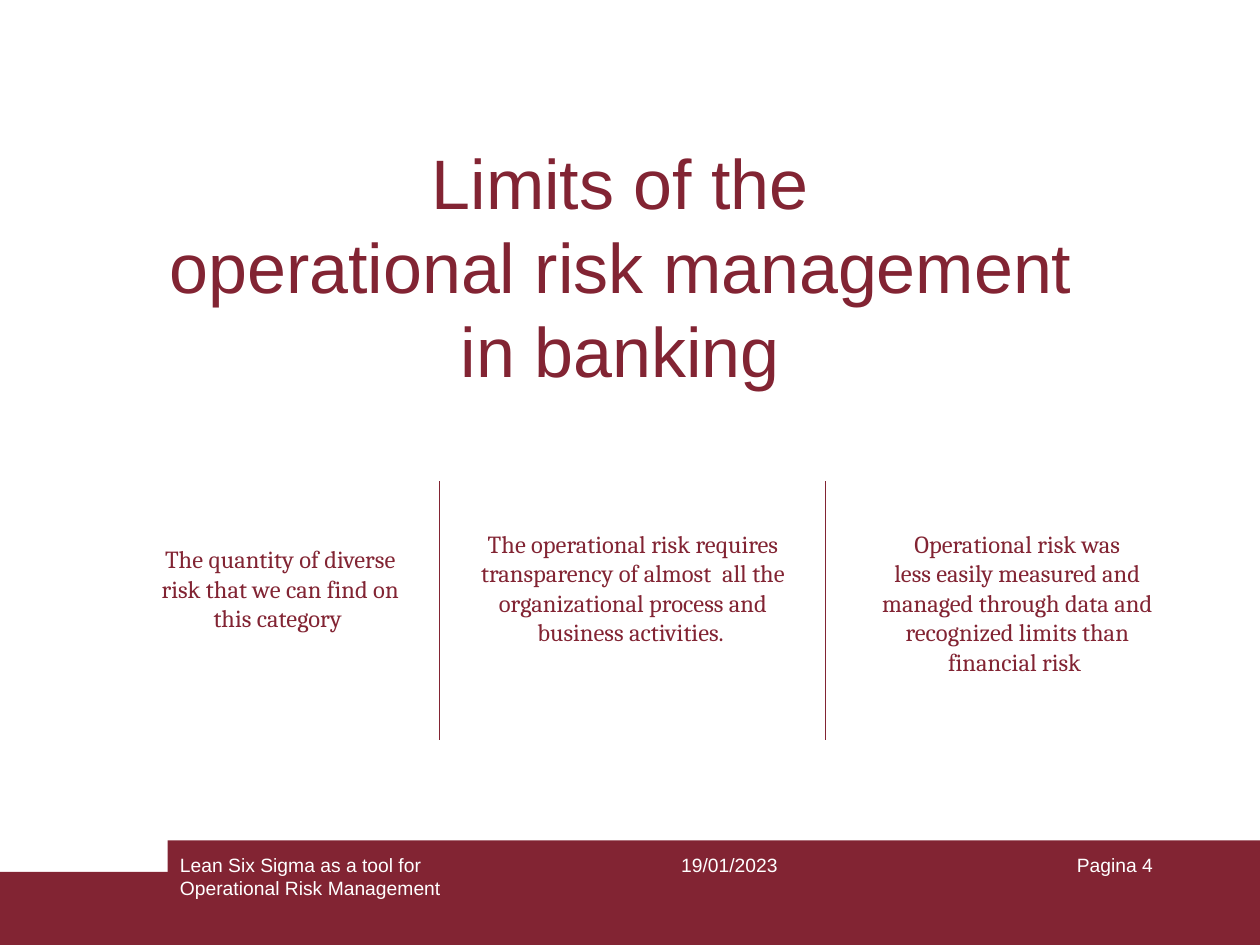
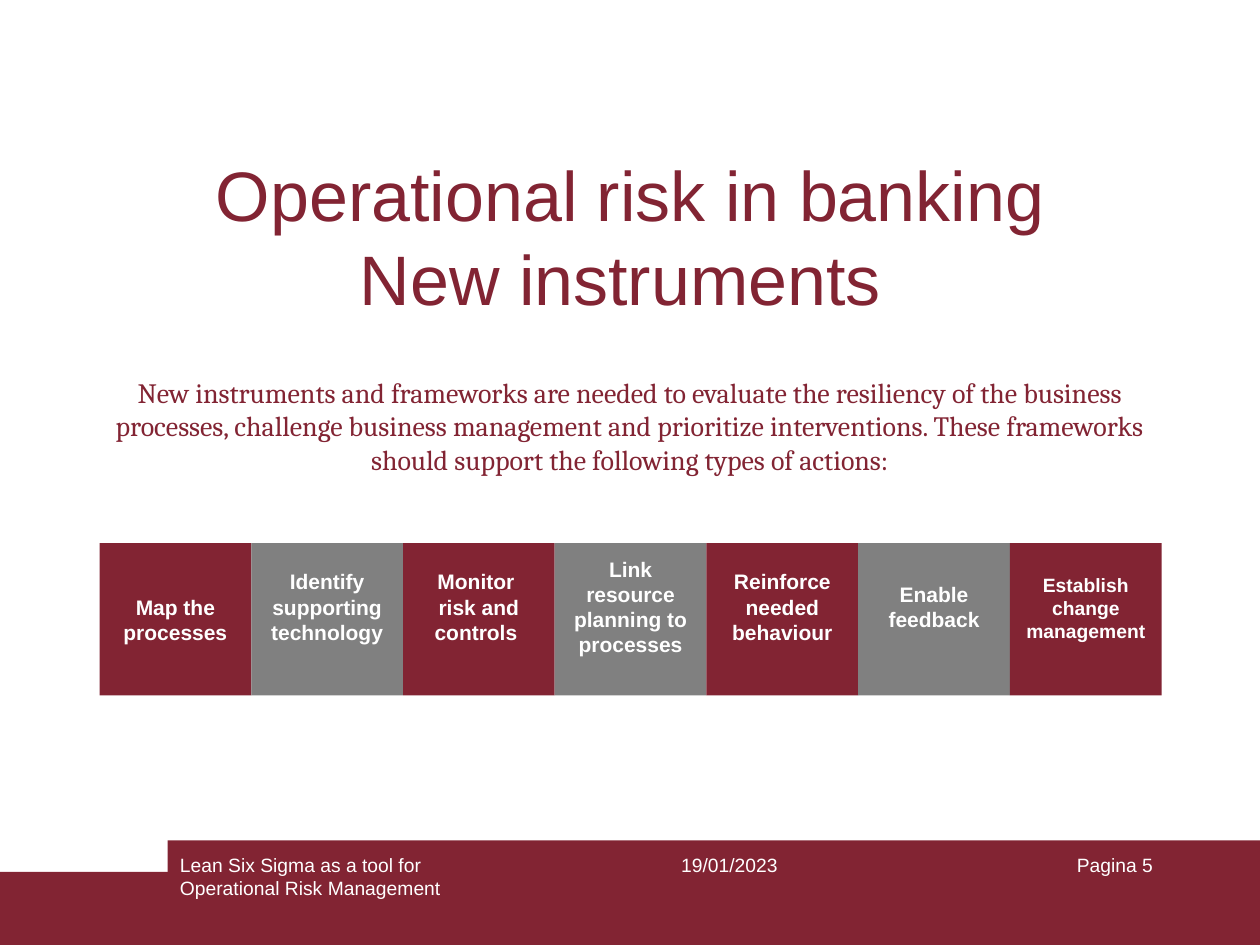
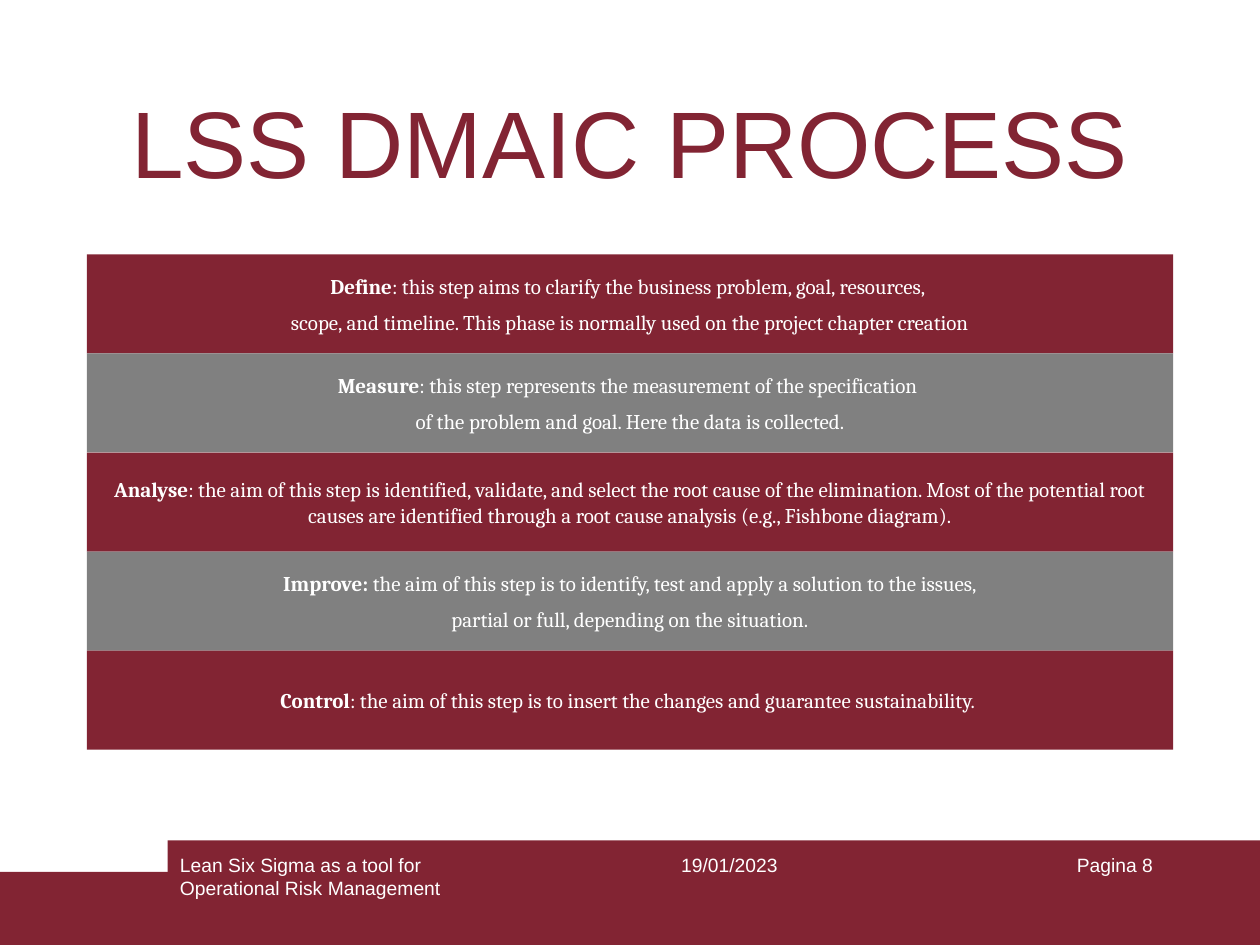
"""Build three slides on operational risk in banking and the DMAIC process."""
from dataclasses import dataclass

from lxml.etree import SubElement
from pptx import Presentation
from pptx.dml.color import RGBColor as RGB
from pptx.enum.shapes import MSO_CONNECTOR as LINE, MSO_SHAPE as SHAPE
from pptx.enum.text import MSO_ANCHOR as ANCHOR, PP_ALIGN as ALIGN
from pptx.oxml.ns import qn
from pptx.util import Inches, Pt


@dataclass(frozen=True)
class Theme:
    red: RGB = RGB(0x82, 0x24, 0x33)
    gray: RGB = RGB(0x80, 0x80, 0x80)
    white: RGB = RGB(0xFF, 0xFF, 0xFF)
    sans: str = "Arial"
    serif: str = "Cambria"
    hero: int = 54
    title: int = 40
    lead: int = 16
    body: int = 14
    label: int = 12
    small: int = 11


T = Theme()


def add_rect(s, x, y, w, h, color):
    sp = s.shapes.add_shape(SHAPE.RECTANGLE, Inches(x), Inches(y), Inches(w), Inches(h))
    sp.shadow.inherit = False
    sp.fill.solid()
    sp.fill.fore_color.rgb = color
    sp.line.fill.background()
    return sp


def write(sp, text, size, font, color, align=ALIGN.CENTER, bold=False):
    tf = sp.text_frame
    tf.word_wrap = True
    tf.text = text
    for p in tf.paragraphs:
        p.alignment = align
        for r in p.runs:
            r.font.size = Pt(size)
            r.font.name = font
            r.font.bold = bold
            r.font.color.rgb = color
    return tf


prs = Presentation()
prs.slide_width, prs.slide_height = Inches(10), Inches(7.5)

titles = [
    (4, (0.1, 1.06, 9.8, 2.1), T.title,
     "Limits of the \noperational risk management \nin banking "),
    (5, (0.1, 1.15, 9.8, 1.44), T.title,
     "Operational risk in banking\nNew instruments "),
    (8, (0.85, 0.62, 8.3, 1), T.hero, "LSS DMAIC PROCESS"),
]
for number, box, size, title in titles:
    s = prs.slides.add_slide(prs.slide_layouts[6])
    add_rect(s, 0, 6.92, 10, 0.58, T.red)
    add_rect(s, 1.33, 6.67, 8.67, 0.83, T.red)
    footers = [
        (1.33, 3.17, "Lean Six Sigma as a tool for\nOperational Risk Management", ALIGN.LEFT),
        (4.75, 2.08, "19/01/2023", ALIGN.CENTER),
        (7.17, 2.08, f"Pagina {number}", ALIGN.RIGHT),
    ]
    for x, w, text, align in footers:
        sp = s.shapes.add_textbox(Inches(x), Inches(6.72), Inches(w), Inches(0.5))
        write(sp, text, T.small, T.sans, T.white, align)
    sp = s.shapes.add_textbox(*map(Inches, box))
    write(sp, title, size, T.sans, T.red)

limits_slide, tools_slide, dmaic_slide = prs.slides

limits = [
    (1.17, 4.27, 2.11, 1.04,
     "The quantity of diverse risk that we can find on this category "),
    (3.71, 4.15, 2.63, 1.27,
     "The operational risk requires transparency of almost  all the "
     "organizational process and business activities. "),
    (6.76, 4.15, 2.63, 1.27,
     "Operational risk was\nless easily measured and managed through data and "
     "recognized limits than financial risk "),
]
for *box, text in limits:
    sp = limits_slide.shapes.add_textbox(*map(Inches, box))
    write(sp, text, T.body, T.serif, T.red)

for x in (3.49, 6.55):
    divider = limits_slide.shapes.add_connector(
        LINE.STRAIGHT, Inches(x), Inches(3.82), Inches(x), Inches(5.87))
    divider.line.color.rgb = T.red
    divider.line.width = Pt(0.75)
    SubElement(divider._element.spPr, qn("a:effectLst"))

sp = tools_slide.shapes.add_textbox(Inches(0.68), Inches(2.93), Inches(8.64), Inches(0.9))
write(sp, "New instruments and frameworks are needed to evaluate the resiliency of the "
      "business processes, challenge business management and prioritize interventions. "
      "These frameworks should support the following types of actions:",
      T.lead, T.serif, T.red)

actions = [
    ("Map the processes", T.label, 0.05),
    ("Identify supporting technology", T.label, 0.25),
    ("Monitor \nrisk and controls ", T.label, 0.25),
    ("Link resource planning to processes", T.label, 0.25),
    ("Reinforce needed behaviour", T.label, 0.25),
    ("Enable feedback", T.label, 0.25),
    ("Establish change management", T.small, 0.23),
]
action_w = 8.43 / len(actions)
for i, (text, size, bottom) in enumerate(actions):
    sp = add_rect(tools_slide, 0.79 + i * action_w, 4.31, action_w, 1.21,
                  (T.red, T.gray)[i % 2])
    tf = write(sp, text, size, T.sans, T.white, bold=True)
    tf.vertical_anchor = ANCHOR.MIDDLE
    tf.margin_bottom = Inches(bottom)

steps = [
    ("Define", ": this step aims to clarify the business problem, goal, resources, \n"
     "scope, and timeline. This phase is normally used on the project chapter creation"),
    ("Measure", ": this step represents the measurement of the specification \n"
     "of the problem and goal. Here the data is collected."),
    ("Analyse", ": the aim of this step is identified, validate, and select the root cause "
     "of the elimination. Most of the potential root causes are identified through a root "
     "cause analysis (e.g., Fishbone diagram)."),
    ("Improve: ", "the aim of this step is to identify, test and apply a solution to the "
     "issues,\npartial or full, depending on the situation."),
    ("Control", ": the aim of this step is to insert the changes and guarantee "
     "sustainability. "),
]
step_h = 3.93 / len(steps)
for i, (name, text) in enumerate(steps):
    sp = add_rect(dmaic_slide, 0.69, 2.02 + i * step_h, 8.62, step_h,
                  (T.red, T.gray)[i % 2])
    tf = write(sp, name + text, T.label, T.serif, T.white)
    tf.vertical_anchor = ANCHOR.MIDDLE
    for p in tf.paragraphs:
        p.space_after = Pt(6)
    p = tf.paragraphs[0]
    first = p.runs[0]
    rest = p.add_run()
    rest.text = first.text[len(name):]
    rest.font.size, rest.font.name = first.font.size, first.font.name
    rest.font.color.rgb = T.white
    first.text = name
    first.font.bold = True

prs.save("out.pptx")
